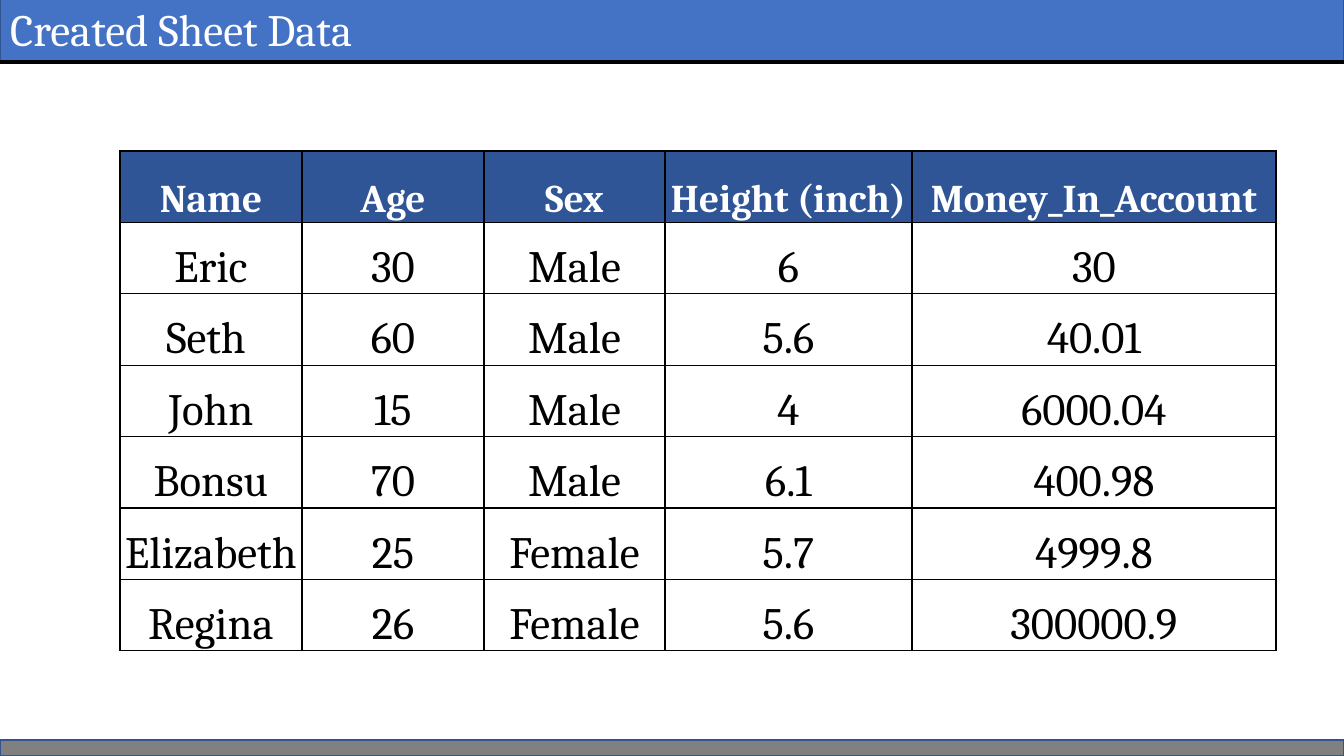
from dataclasses import dataclass

from lxml.etree import SubElement
from pptx import Presentation
from pptx.dml.color import RGBColor
from pptx.enum.shapes import MSO_CONNECTOR, MSO_SHAPE
from pptx.enum.text import MSO_ANCHOR, MSO_AUTO_SIZE, PP_ALIGN
from pptx.oxml.ns import qn
from pptx.util import Pt

EMU_PER_INCH = 914400
PX_PER_INCH = 100.8
PAGE_WIDTH, PAGE_HEIGHT = 1344, 756


@dataclass(frozen=True)
class Theme:
    font: str = "Cambria"
    title_size: int = 32
    header_size: int = 28
    body_size: int = 32
    white: str = "FFFFFF"
    black: str = "000000"
    bar: str = "4472C4"
    outline: str = "325491"
    header: str = "2F5597"
    footer: str = "808080"
    thin: int = 1
    thick: int = 3


THEME = Theme()

COLUMN_WIDTHS = (182, 182, 181, 247, 364)
RECORDS = (
    ("Name", "Age", "Sex", "Height (inch)", "Money_In_Account"),
    ("Eric", "30", "Male", "6", "30"),
    ("Seth ", "60", "Male", "5.6", "40.01"),
    ("John", "15", "Male", "4", "6000.04"),
    ("Bonsu", "70", "Male", "6.1", "400.98"),
    ("Elizabeth", "25", "Female", "5.7", "4999.8"),
    ("Regina", "26", "Female", "5.6", "300000.9"),
)


def px(length):
    return round(length * EMU_PER_INCH / PX_PER_INCH)


def color(value):
    return RGBColor.from_string(value)


def paint(shape, fill):
    shape.fill.solid()
    shape.fill.fore_color.rgb = color(fill)
    shape.line.color.rgb = color(THEME.outline)
    shape.line.width = Pt(THEME.thin)


def style_paragraph(para, size, text_color, align, bold=False):
    para.alignment = align
    para.font.name = THEME.font
    para.font.size = Pt(size)
    para.font.bold = bold
    para.font.color.rgb = color(text_color)


def format_title(page, text):
    title = page.shapes.title
    title.left, title.top = px(0), px(-5)
    title.width, title.height = px(PAGE_WIDTH), px(67)
    paint(title, THEME.bar)
    frame = title.text_frame
    frame.text = text
    frame.auto_size = MSO_AUTO_SIZE.NONE
    frame.vertical_anchor = MSO_ANCHOR.MIDDLE
    style_paragraph(frame.paragraphs[0], THEME.title_size, THEME.white, PP_ALIGN.LEFT)


def add_rule(page, top):
    rule = page.shapes.add_connector(
        MSO_CONNECTOR.STRAIGHT, px(0), px(top), px(PAGE_WIDTH), px(top)
    )
    rule.line.color.rgb = color(THEME.black)
    rule.line.width = Pt(THEME.thick)
    SubElement(rule._element.spPr, qn("a:effectLst"))


def add_footer_bar(page, top):
    bar = page.shapes.add_shape(
        MSO_SHAPE.RECTANGLE, px(0), px(top), px(PAGE_WIDTH), px(PAGE_HEIGHT - top)
    )
    bar.shadow.inherit = False
    paint(bar, THEME.footer)


def add_borders(cell):
    properties = cell._tc.get_or_add_tcPr()
    for index, side in enumerate(("lnL", "lnR", "lnT", "lnB")):
        border = properties.makeelement(qn(f"a:{side}"), {"w": str(Pt(THEME.thin))})
        fill = SubElement(border, qn("a:solidFill"))
        SubElement(fill, qn("a:srgbClr"), val=THEME.black)
        properties.insert(index, border)


def fill_cell(cell, text, is_header):
    cell.text = text
    cell.vertical_anchor = MSO_ANCHOR.BOTTOM
    cell.margin_left = cell.margin_right = cell.margin_top = px(1)
    cell.margin_bottom = 0
    para = cell.text_frame.paragraphs[0]
    if is_header:
        cell.fill.solid()
        cell.fill.fore_color.rgb = color(THEME.header)
        style_paragraph(para, THEME.header_size, THEME.white, PP_ALIGN.CENTER, True)
    else:
        cell.fill.background()
        style_paragraph(para, THEME.body_size, THEME.black, PP_ALIGN.CENTER)
    add_borders(cell)


def add_records_table(page, left, top, height):
    table = page.shapes.add_table(
        len(RECORDS), len(COLUMN_WIDTHS),
        px(left), px(top), px(sum(COLUMN_WIDTHS)), px(height),
    ).table
    table.first_row = table.horz_banding = False
    for column, width in zip(table.columns, COLUMN_WIDTHS):
        column.width = px(width)
    for row_index, record in enumerate(RECORDS):
        for column_index, text in enumerate(record):
            fill_cell(table.cell(row_index, column_index), text, row_index == 0)


def main():
    deck = Presentation()
    deck.slide_width, deck.slide_height = px(PAGE_WIDTH), px(PAGE_HEIGHT)
    page = deck.slides.add_slide(deck.slide_layouts[5])
    format_title(page, "Created Sheet Data")
    add_records_table(page, left=120, top=151, height=500)
    add_footer_bar(page, top=740)
    add_rule(page, top=62)
    deck.save("out.pptx")


if __name__ == "__main__":
    main()
